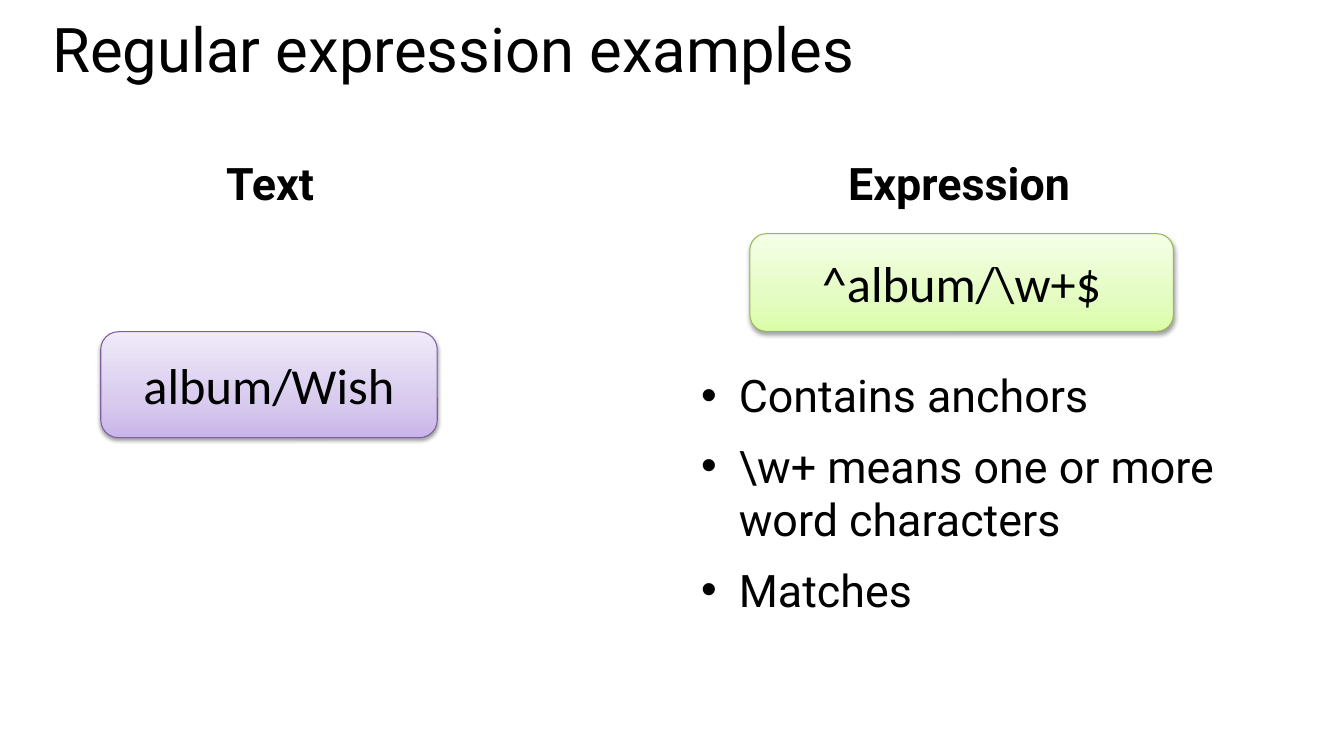
from copy import deepcopy

from lxml.etree import SubElement
from pptx import Presentation
from pptx.dml.color import RGBColor
from pptx.enum.shapes import MSO_SHAPE as Shape
from pptx.enum.text import MSO_ANCHOR as Anchor, PP_ALIGN as Align
from pptx.oxml.ns import qn
from pptx.util import Cm, Pt

BLACK = RGBColor(0x00, 0x00, 0x00)
PURPLE_LINE = RGBColor(0x7D, 0x60, 0xA0)
PURPLE_STOPS = (RGBColor(0xC9, 0xB5, 0xE8), RGBColor(0xD8, 0xCB, 0xEE), RGBColor(0xF0, 0xEA, 0xF9))
GREEN_LINE = RGBColor(0x98, 0xB9, 0x55)
GREEN_STOPS = (RGBColor(0xDA, 0xFD, 0xA7), RGBColor(0xE4, 0xFC, 0xC2), RGBColor(0xF5, 0xFF, 0xE7))
STOP_POSITIONS = (0, 0.35, 1)


class ExampleSlide:
    text_font = "Roboto"
    box_font = "Calibri"
    title_size = Pt(44)
    body_size = Pt(32)
    box_size = Pt(36)
    bullet_indent = Cm(0.95)

    def __init__(self, slide):
        self.slide = slide

    def format(self, paragraph, font_name, size, bold=False):
        for run in paragraph.runs:
            run.font.name = font_name
            run.font.size = size
            run.font.bold = bold
            run.font.color.rgb = BLACK

    def text_frame(self, left, top, width, height):
        shape = self.slide.shapes.add_textbox(Cm(left), Cm(top), Cm(width), Cm(height))
        shape.text_frame.word_wrap = True
        return shape.text_frame

    def title(self, text, *place):
        paragraph = self.text_frame(*place).paragraphs[0]
        paragraph.text = text
        paragraph.line_spacing = 0.8
        self.format(paragraph, self.text_font, self.title_size)

    def heading(self, text, *place):
        paragraph = self.text_frame(*place).paragraphs[0]
        paragraph.text = text
        paragraph.alignment = Align.CENTER
        self.format(paragraph, self.text_font, self.body_size, bold=True)

    def bullets(self, items, *place):
        text_frame = self.text_frame(*place)
        text_frame.text = "\n".join(items)
        for paragraph in text_frame.paragraphs:
            paragraph.space_before = Pt(12)
            self.format(paragraph, self.text_font, self.body_size)
            properties = paragraph._p.get_or_add_pPr()
            properties.set("marL", str(self.bullet_indent))
            properties.set("indent", str(-self.bullet_indent))
            SubElement(properties, qn("a:buFont"), typeface="Arial")
            SubElement(properties, qn("a:buChar"), char="•")

    def gradient(self, shape, colors):
        fill = shape.fill
        fill.gradient()
        fill.gradient_angle = 90
        stop_list = shape._element.spPr.find(".//" + qn("a:gsLst"))
        stop_list.append(deepcopy(stop_list[-1]))
        for stop, position, color in zip(fill.gradient_stops, STOP_POSITIONS, colors):
            stop.position = position
            stop.color.rgb = color

    def shadow(self, shape):
        shape.shadow.inherit = False
        effects = shape._element.spPr.find(qn("a:effectLst"))
        outer = SubElement(effects, qn("a:outerShdw"), blurRad=str(Pt(3.1)), dist=str(Pt(1.6)),
                           dir="5400000", rotWithShape="0")
        color = SubElement(outer, qn("a:srgbClr"), val=str(BLACK))
        SubElement(color, qn("a:alpha"), val="38000")

    def box(self, text, stops, line_color, left, top, width, height):
        shape = self.slide.shapes.add_shape(
            Shape.ROUNDED_RECTANGLE, Cm(left), Cm(top), Cm(width), Cm(height))
        self.gradient(shape, stops)
        shape.line.color.rgb = line_color
        shape.line.width = Pt(0.75)
        self.shadow(shape)
        shape.text_frame.vertical_anchor = Anchor.MIDDLE
        paragraph = shape.text_frame.paragraphs[0]
        paragraph.text = text
        paragraph.alignment = Align.CENTER
        self.format(paragraph, self.box_font, self.box_size)


def main():
    presentation = Presentation()
    presentation.slide_width = Cm(33.87)
    presentation.slide_height = Cm(19.05)
    slide = presentation.slides.add_slide(presentation.slide_layouts[6])
    examples = ExampleSlide(slide)
    examples.title("Regular expression examples", 1.07, 0.5, 32, 2.95)
    examples.heading("Text", 1.07, 3.81, 11.48, 1.6)
    examples.heading("Expression", 17.42, 3.81, 13.51, 1.6)
    examples.bullets(
        ["Contains anchors", "\\w+ means one or more word characters", "Matches"],
        17.42, 9.14, 13.51, 8.44)
    examples.box("album/Wish", PURPLE_STOPS, PURPLE_LINE, 2.54, 8.36, 8.48, 2.67)
    examples.box("^album/\\w+$", GREEN_STOPS, GREEN_LINE, 18.9, 5.89, 10.67, 2.46)
    presentation.save("out.pptx")


if __name__ == "__main__":
    main()
